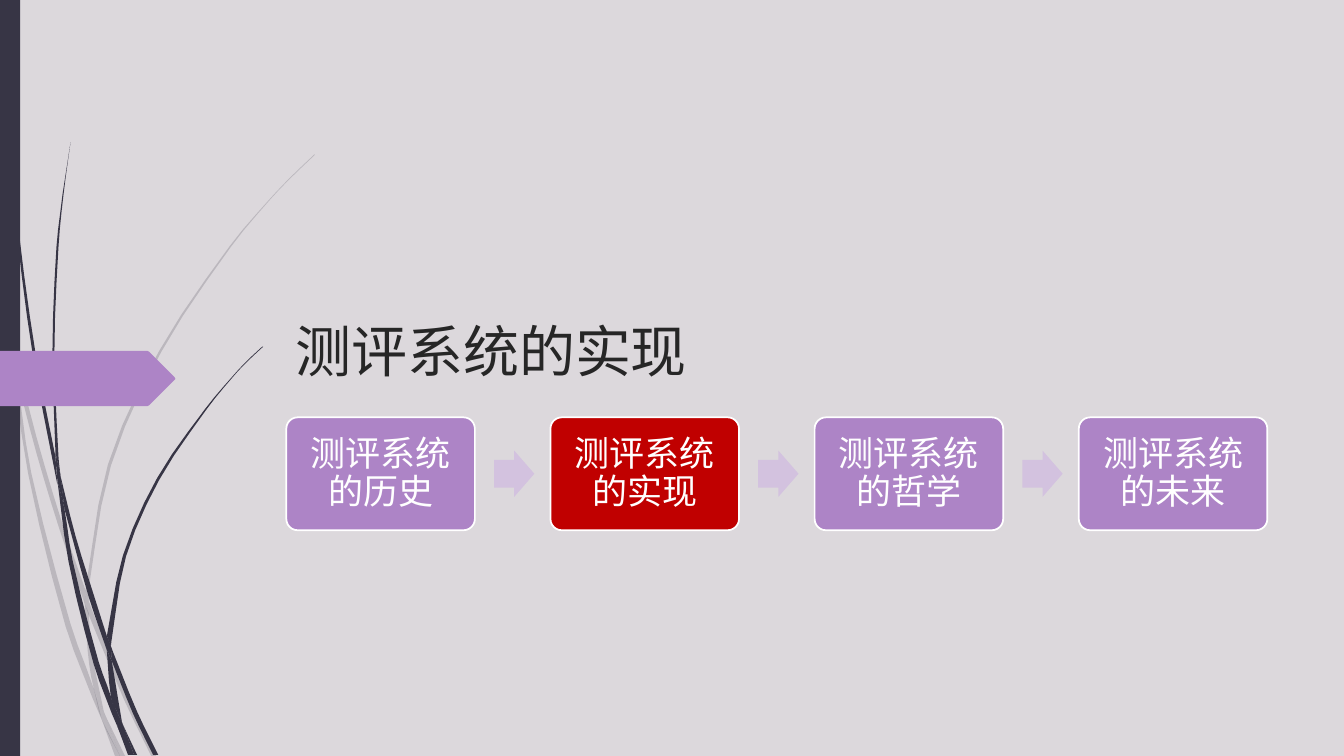
from dataclasses import dataclass
from math import dist

from lxml.etree import SubElement
from pptx import Presentation
from pptx.dml.color import RGBColor
from pptx.enum.shapes import MSO_SHAPE as Preset
from pptx.enum.text import MSO_ANCHOR as Anchor, PP_ALIGN as Align
from pptx.oxml.ns import qn
from pptx.util import Inches, Pt

BACKDROP = RGBColor(0xDC, 0xD8, 0xDC)
INK = RGBColor(0x37, 0x35, 0x45)
PURPLE = RGBColor(0xAD, 0x84, 0xC6)
PALE_PURPLE = RGBColor(0xD3, 0xC2, 0xDF)
RED = RGBColor(0xC0, 0x00, 0x00)
WHITE = RGBColor(0xFF, 0xFF, 0xFF)
TITLE_COLOR = RGBColor(0x26, 0x26, 0x26)
FONT = "TeX Gyre Adventor"

Point = tuple[float, float]


@dataclass(frozen=True)
class Blade:
    """A piece of grass between two smooth edges, given in drawing order."""
    out: list[Point]
    back: list[Point]


@dataclass(frozen=True)
class Step:
    label: str
    color: RGBColor = PURPLE


FAINT_GRASS = [
    Blade([(.11, 3.5), (.09, 3.22), (0, 2.82)], [(0, 2.99), (.1, 3.44)]),
    Blade([(.14, 3.45), (.36, 4.33), (.62, 5.2), (.85, 5.86)],
          [(.84, 5.99), (.58, 5.22), (.36, 4.49), (.17, 3.76)]),
    Blade([(.88, 5.96), (.92, 6.07), (1.27, 6.92), (1.55, 7.5)],
          [(1.5, 7.5), (1.23, 6.94), (.88, 6.1)]),
    Blade([(1.05, 7.11), (1.24, 7.5)], [(1.19, 7.5)]),
    Blade([(.11, 3.5), (.17, 3.76), (.31, 4.69), (.7, 6.19), (.93, 6.83), (1.01, 7.14)],
          [(.92, 6.93), (.65, 6.21), (.28, 4.7), (.11, 3.5)]),
    Blade([(.84, 5.99), (.87, 6.46), (.93, 6.83), (1.05, 7.11)],
          [(1.03, 7.06), (.91, 6.46), (.88, 6.08)]),
    Blade([(.88, 5.96), (.88, 5.84), (1.1, 4.62), (1.6, 3.49), (2.29, 2.45),
           (2.68, 1.98), (2.9, 1.75), (3.12, 1.54)],
          [(3.12, 1.53), (2.89, 1.75), (2.68, 1.97), (2.28, 2.44), (1.58, 3.48),
           (1.07, 4.61), (.85, 5.84), (.85, 5.86)]),
    Blade([(1.01, 7.14), (1.14, 7.5)], [(1.19, 7.5)]),
    Blade([(.88, 6.1), (.88, 5.96)], [(.85, 5.86), (.84, 5.99)]),
    Blade([(.93, 6.83), (1.01, 7.14), (1.19, 7.5)], [(1.05, 7.11), (.96, 6.92)]),
]

DARK_GRASS = [
    Blade([(.03, 0), (.04, .48), (.07, 1.1), (.17, 2.33), (.33, 3.55), (.57, 4.81)],
          [(.55, 4.53), (.36, 3.55), (.19, 2.32), (.08, 1.09), (.05, .48), (.04, 0)]),
    Blade([(.6, 4.72), (.75, 5.32), (.93, 5.9), (1.06, 6.31)],
          [(1.06, 6.45), (.88, 5.92), (.64, 5.05)]),
    Blade([(1.1, 6.41), (1.13, 6.49), (1.36, 7.06), (1.57, 7.49)],
          [(1.52, 7.49), (1.32, 7.08), (1.11, 6.56)]),
    Blade([(.57, 4.77), (.64, 5.05), (.72, 5.56), (.98, 6.57), (1.1, 6.91), (1.17, 7.22)],
          [(1.11, 7.08), (.93, 6.59), (.68, 5.57), (.57, 4.77)]),
    Blade([(.6, 4.72), (.58, 4.53), (.54, 3.49), (.58, 2.45), (.63, 1.93), (.7, 1.41)],
          [(.62, 1.93), (.56, 2.45), (.52, 3.49), (.55, 4.49)]),
    Blade([(1.22, 7.19), (1.36, 7.49)], [(1.33, 7.49)]),
    Blade([(.55, 4.49), (.6, 4.72), (.64, 5.05)], [(.57, 4.77), (.55, 4.53)]),
    Blade([(1.1, 6.41), (1.11, 6.33), (1.25, 5.52), (1.58, 4.76), (2.05, 4.06),
           (2.31, 3.74), (2.45, 3.59), (2.61, 3.44)],
          [(2.6, 3.44), (2.45, 3.58), (2.31, 3.73), (2.04, 4.05), (1.56, 4.74),
           (1.22, 5.51), (1.06, 6.31)]),
    Blade([(1.17, 7.22), (1.31, 7.49)], [(1.27, 7.49)]),
    Blade([(1.11, 6.56), (1.21, 7.16), (1.22, 7.19)], [(1.16, 7.06), (1.1, 6.91), (1.06, 6.45)]),
    Blade([(1.06, 6.31), (1.1, 6.41), (1.11, 6.56)], [(1.06, 6.45)]),
    Blade([(1.1, 6.91), (1.17, 7.22), (1.3, 7.49)], [(1.33, 7.49), (1.22, 7.19), (1.16, 7.06)]),
]

TAG = [(0, 3.48), (1.46, 3.48), (1.48, 3.49), (1.73, 3.74), (1.74, 3.76),
       (1.73, 3.77), (1.48, 4.02), (1.46, 4.03), (0, 4.03)]

STEPS = [Step("测评系统的历史"), Step("测评系统的实现", RED),
         Step("测评系统的哲学"), Step("测评系统的未来")]
STEP_LEFT, STEP_TOP, STEP_WIDTH, STEP_HEIGHT, STEP_PITCH = 2.84, 4.14, 1.87, 1.12, 2.62
ARROW_WIDTH, ARROW_HEIGHT, ARROW_OFFSET = 0.4, 0.46, 2.06


def smooth(knots: list[Point], parts: int = 3) -> list[Point]:
    """Run a spline through the knots, with slopes weighted by chord length."""
    last = len(knots) - 1
    slopes = []
    for i in range(last + 1):
        before, here, after = knots[max(i - 1, 0)], knots[i], knots[min(i + 1, last)]
        length = dist(before, here) + dist(here, after) or 1
        slopes.append([(b - a) / length for a, b in zip(before, after)])
    curve = [knots[0]]
    for i in range(last):
        chord = dist(knots[i], knots[i + 1])
        for k in range(1, parts + 1):
            t = k / parts
            ease = t * t * (3 - 2 * t)
            x, y = (a + (b - a) * ease + chord * t * (1 - t) * (m * (1 - t) - n * t)
                    for a, b, m, n in zip(knots[i], knots[i + 1], slopes[i], slopes[i + 1]))
            curve.append((x, y))
    return curve


def paint(shape, color: RGBColor, alpha: int = 100, outline: RGBColor | None = None) -> None:
    shape.shadow.inherit = False
    shape.fill.solid()
    shape.fill.fore_color.rgb = color
    if alpha < 100:
        tint = shape.fill._xPr.find(qn("a:solidFill"))[0]
        SubElement(tint, qn("a:alpha"), val=str(alpha * 1000))
    if outline is None:
        shape.line.fill.background()
    else:
        shape.line.color.rgb = outline
        shape.line.width = Pt(1.25)


def draw_outline(slide, points: list[Point], color: RGBColor, alpha: int = 100) -> None:
    start, *rest = [(Inches(x), Inches(y)) for x, y in points]
    builder = slide.shapes.build_freeform(*start)
    builder.add_line_segments(rest, close=True)
    paint(builder.convert_to_shape(), color, alpha)


def draw_preset(slide, preset, left: float, top: float, width: float, height: float,
                color: RGBColor, adjust: tuple[float, ...] = (),
                outline: RGBColor | None = None):
    shape = slide.shapes.add_shape(
        preset, Inches(left), Inches(top), Inches(width), Inches(height))
    for i, value in enumerate(adjust):
        shape.adjustments[i] = value
    paint(shape, color, outline=outline)
    return shape


def write(frame, text: str, *, size: float, color: RGBColor, align=Align.LEFT,
          anchor=Anchor.MIDDLE, spacing: float = 1.0, inset: float | None = None) -> None:
    frame.word_wrap = True
    frame.vertical_anchor = anchor
    if inset is not None:
        frame.margin_left = frame.margin_right = Inches(inset)
        frame.margin_top = frame.margin_bottom = Inches(inset)
    line = frame.paragraphs[0]
    line.alignment = align
    line.line_spacing = spacing
    run = line.add_run()
    run.text = text
    run.font.name, run.font.size = FONT, Pt(size)
    run.font.color.rgb = color


def main() -> None:
    deck = Presentation()
    deck.slide_width, deck.slide_height = Inches(13.33), Inches(7.5)
    slide = deck.slides.add_slide(deck.slide_layouts[6])
    slide.background.fill.solid()
    slide.background.fill.fore_color.rgb = BACKDROP

    # Grass, side band and tag
    for blades, alpha in ((FAINT_GRASS, 20), (DARK_GRASS, 100)):
        for blade in blades:
            draw_outline(slide, smooth(blade.out) + smooth(blade.back), INK, alpha)
    draw_preset(slide, Preset.RECTANGLE, 0, 0, 0.2, 7.5, INK)
    draw_outline(slide, TAG, PURPLE)

    # Title
    title = slide.shapes.add_textbox(Inches(2.83), Inches(2.25), Inches(9.75), Inches(1.61))
    write(title.text_frame, "测评系统的实现", size=40, color=TITLE_COLOR, anchor=Anchor.BOTTOM)

    # Chain of steps
    for i, step in enumerate(STEPS):
        left = STEP_LEFT + i * STEP_PITCH
        card = draw_preset(slide, Preset.ROUNDED_RECTANGLE, left, STEP_TOP, STEP_WIDTH,
                           STEP_HEIGHT, step.color, (0.1,), outline=WHITE)
        write(card.text_frame, step.label, size=25, color=WHITE, align=Align.CENTER,
              spacing=0.9, inset=0.1)
        if i < len(STEPS) - 1:
            draw_preset(slide, Preset.RIGHT_ARROW, left + ARROW_OFFSET,
                        STEP_TOP + (STEP_HEIGHT - ARROW_HEIGHT) / 2,
                        ARROW_WIDTH, ARROW_HEIGHT, PALE_PURPLE, (0.6, 0.5))

    deck.save("out.pptx")


if __name__ == "__main__":
    main()
